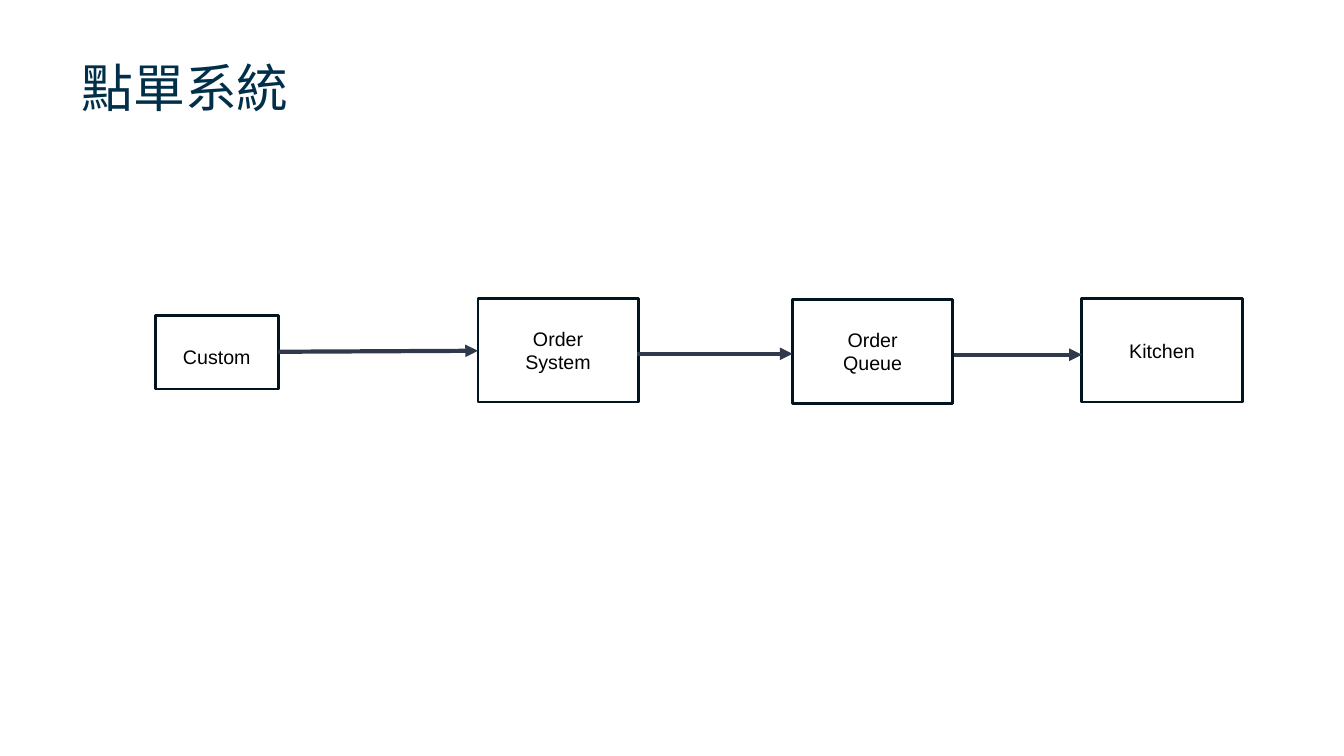
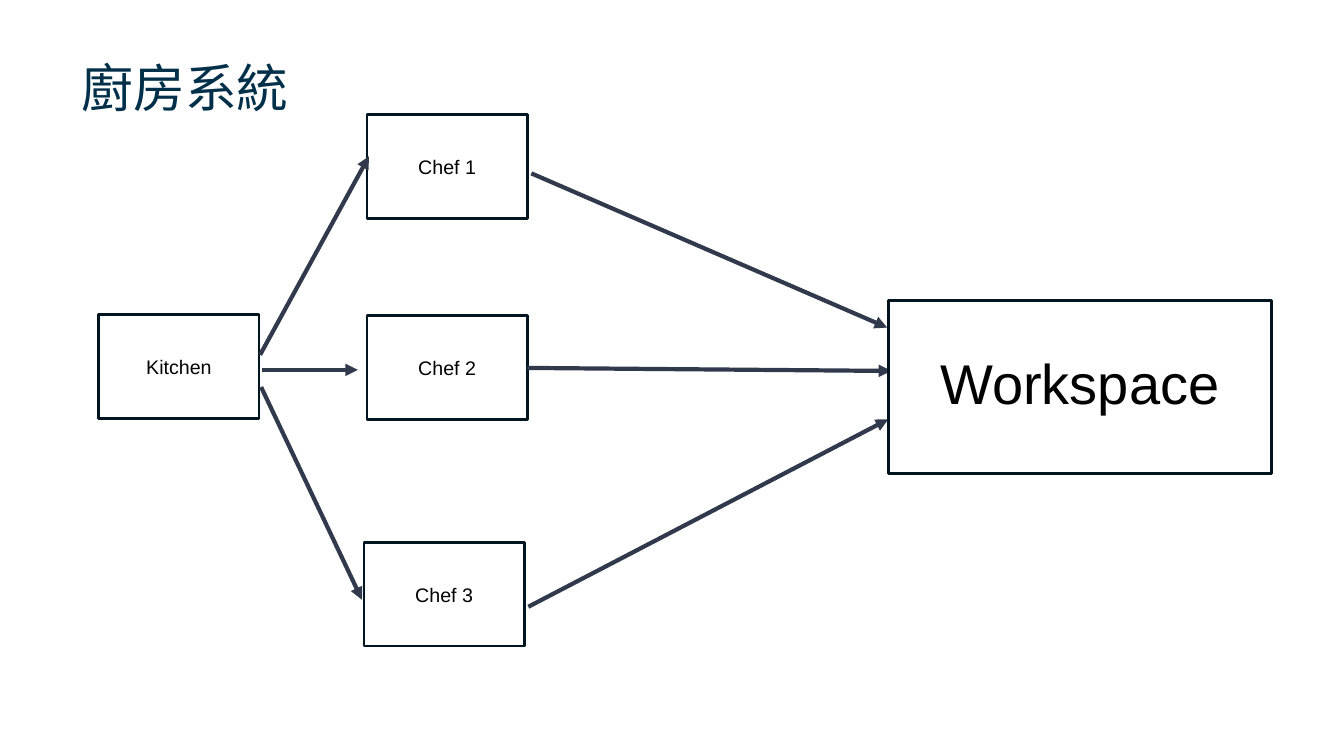
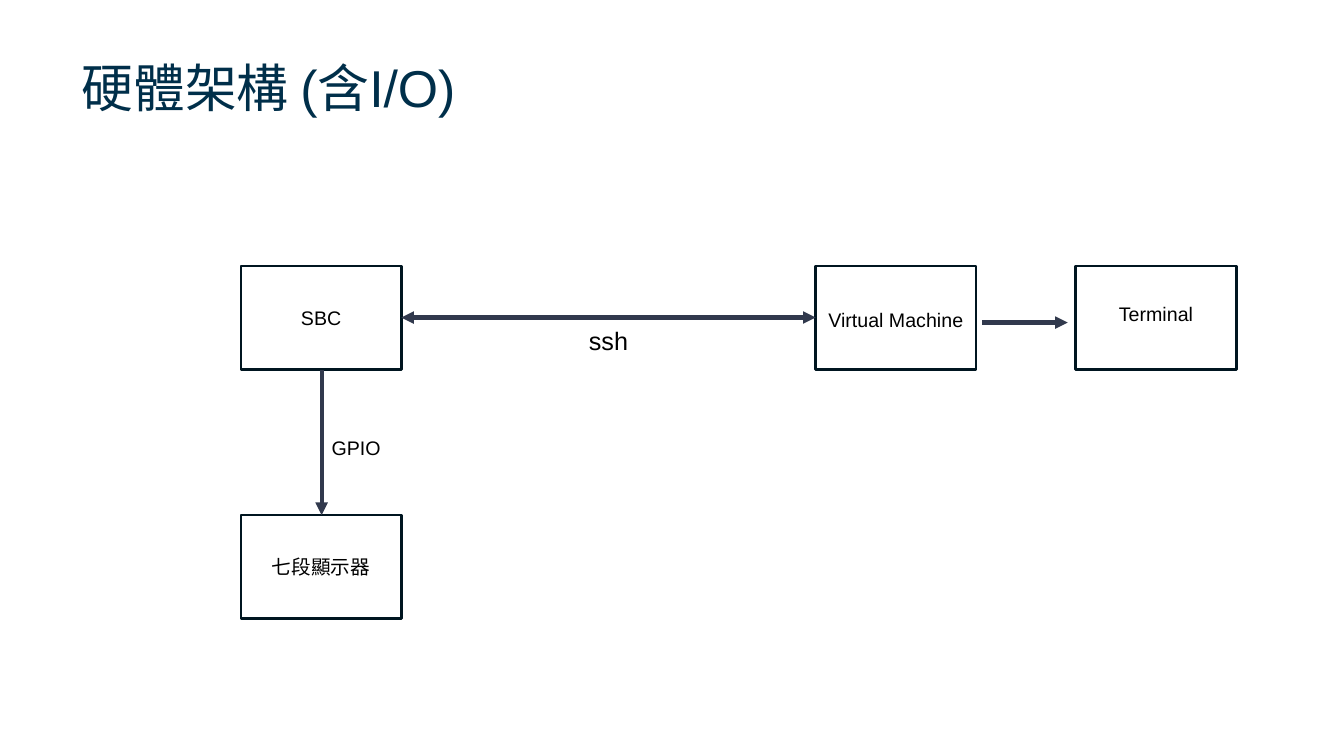
from lxml.etree import SubElement
from pptx import Presentation
from pptx.dml.color import RGBColor
from pptx.enum.shapes import MSO_CONNECTOR, MSO_SHAPE
from pptx.enum.text import MSO_ANCHOR, MSO_AUTO_SIZE, PP_ALIGN
from pptx.oxml.ns import qn
from pptx.util import Inches, Pt

COLORS = {"title": "002F4A", "border": "001520", "arrow": "31394D",
          "text": "000000", "box": "FFFFFF"}
LATIN, CJK = "Arial", "Noto Sans CJK TC"
BOX_W, BOX_H = 1.59, 1.03
FRAME = {"word_wrap": True, "auto_size": MSO_AUTO_SIZE.NONE}


def rgb(name):
    return RGBColor.from_string(COLORS[name])


def apply(target, formats):
    for name, value in formats.items():
        setattr(target, name, value)


def write(tf, text, size, color="text", align=PP_ALIGN.CENTER, **frame):
    apply(tf, FRAME | frame)
    for i, line in enumerate(text.split("\n")):
        p = tf.add_paragraph() if i else tf.paragraphs[0]
        apply(p, {"alignment": align, "line_spacing": 1.0})
        r = p.add_run()
        r.text = line
        apply(r.font, {"size": Pt(size), "name": LATIN})
        r.font.color.rgb = rgb(color)
        SubElement(r.font._element, qn("a:ea"), typeface=CJK)


def add_slide(prs, title, width, height):
    s = prs.slides.add_slide(prs.slide_layouts.get_by_name("Title Only"))
    sp = s.shapes.title
    apply(sp, {"left": Inches(0.71), "top": Inches(0.5),
               "width": Inches(width), "height": Inches(height)})
    write(sp.text_frame, title, 37, "title", PP_ALIGN.LEFT,
          vertical_anchor=MSO_ANCHOR.TOP)
    return s


def box(s, text, x, y, w=BOX_W, h=BOX_H, size=14, drop=0):
    sp = s.shapes.add_shape(MSO_SHAPE.RECTANGLE, *map(Inches, (x, y, w, h)))
    sp.shadow.inherit = False
    sp.fill.solid()
    sp.fill.fore_color.rgb = rgb("box")
    sp.line.color.rgb = rgb("border")
    sp.line.width = Pt(2)
    write(sp.text_frame, text, size, vertical_anchor=MSO_ANCHOR.MIDDLE,
          margin_left=Inches(0.05), margin_right=Inches(0.05),
          margin_top=Inches(0.05 + max(drop, 0) * 2),
          margin_bottom=Inches(0.05 + max(-drop, 0) * 2))


def label(s, text, x, y, w, h, size, align):
    sp = s.shapes.add_textbox(*map(Inches, (x, y, w, h)))
    write(sp.text_frame, text, size, align=align)


def arrow(s, start, end, ends=("tailEnd",)):
    line = s.shapes.add_connector(MSO_CONNECTOR.STRAIGHT, *map(Inches, start + end))
    line.line.color.rgb = rgb("arrow")
    line.line.width = Pt(3)
    for name in ends:
        SubElement(line.line._get_or_add_ln(), qn(f"a:{name}"), type="triangle")
    SubElement(line._element.spPr, qn("a:effectLst"))


def order_slide(prs):
    s = add_slide(prs, "點單系統", 2.26, 0.73)
    box(s, "Custom", 1.54, 3.13, 1.22, 0.73, drop=0.04)
    for text, x, y in (("Order\nSystem", 4.74, 2.96), ("Order\nQueue", 7.86, 2.97),
                       ("Kitchen", 10.73, 2.96)):
        box(s, text, x, y)
    arrow(s, (2.76, 3.49), (4.74, 3.48))
    arrow(s, (6.32, 3.51), (7.86, 3.51))
    arrow(s, (9.46, 3.52), (10.73, 3.52))


def kitchen_slide(prs):
    s = add_slide(prs, "廚房系統", 3.34, 0.75)
    box(s, "Kitchen", 0.98, 3.12)
    chefs = (
        (3.64, 1.14, (2.58, 3.52), (3.66, 1.55), (5.27, 1.72), (8.8, 3.25)),
        (3.64, 3.13, (2.6, 3.67), (3.55, 3.67), (5.23, 3.65), (8.84, 3.68)),
        (3.61, 5.38, (2.59, 3.84), (3.59, 5.95), (5.24, 6.02), (8.81, 4.16)),
    )
    for i, (x, y, leave, reach, send, deliver) in enumerate(chefs, 1):
        box(s, f"Chef {i}", x, y)
        arrow(s, leave, reach)
        arrow(s, send, deliver)
    box(s, "Workspace", 8.81, 2.98, 3.8, 1.72, 40, drop=-0.05)


def hardware_slide(prs):
    s = add_slide(prs, "硬體架構 (含I/O)", 10.29, 1.53)
    for text, x, y, drop in (("SBC", 2.39, 2.64, 0), ("Virtual Machine", 8.09, 2.64, 0.02),
                             ("Terminal", 10.67, 2.64, -0.04), ("七段顯示器", 2.39, 5.11, 0)):
        box(s, text, x, y, drop=drop)
    arrow(s, (3.19, 3.67), (3.19, 5.11))
    arrow(s, (3.98, 3.15), (8.09, 3.15), ("headEnd", "tailEnd"))
    arrow(s, (9.74, 3.2), (10.59, 3.2))
    label(s, "ssh", 5.53, 3.18, 1.01, 0.4, 18, PP_ALIGN.CENTER)
    label(s, "GPIO", 3.19, 4.28, 0.79, 0.34, 14, PP_ALIGN.LEFT)


def main():
    prs = Presentation()
    apply(prs, {"slide_width": Inches(13.33), "slide_height": Inches(7.5)})
    for build in (order_slide, kitchen_slide, hardware_slide):
        build(prs)
    prs.save("out.pptx")


if __name__ == "__main__":
    main()
